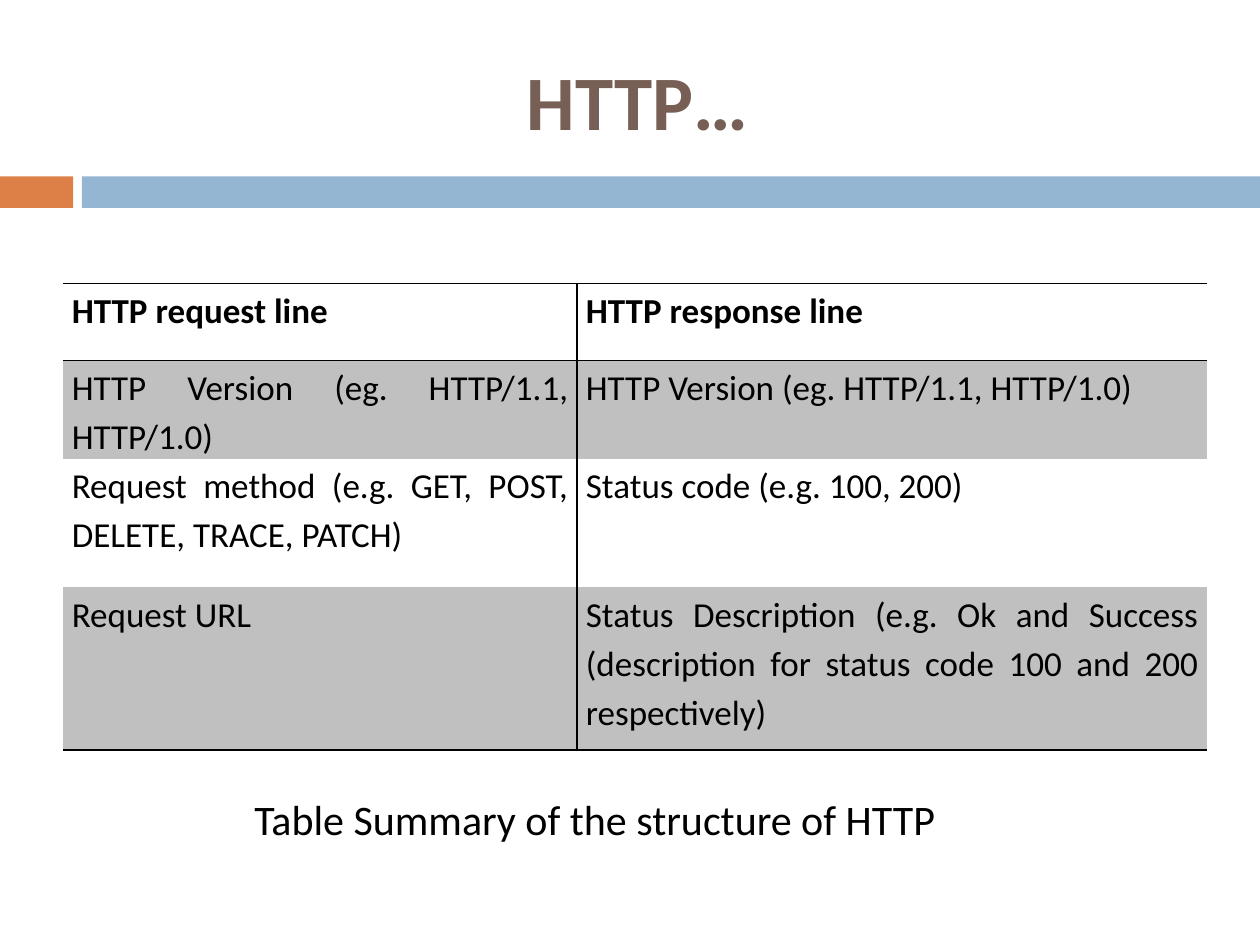
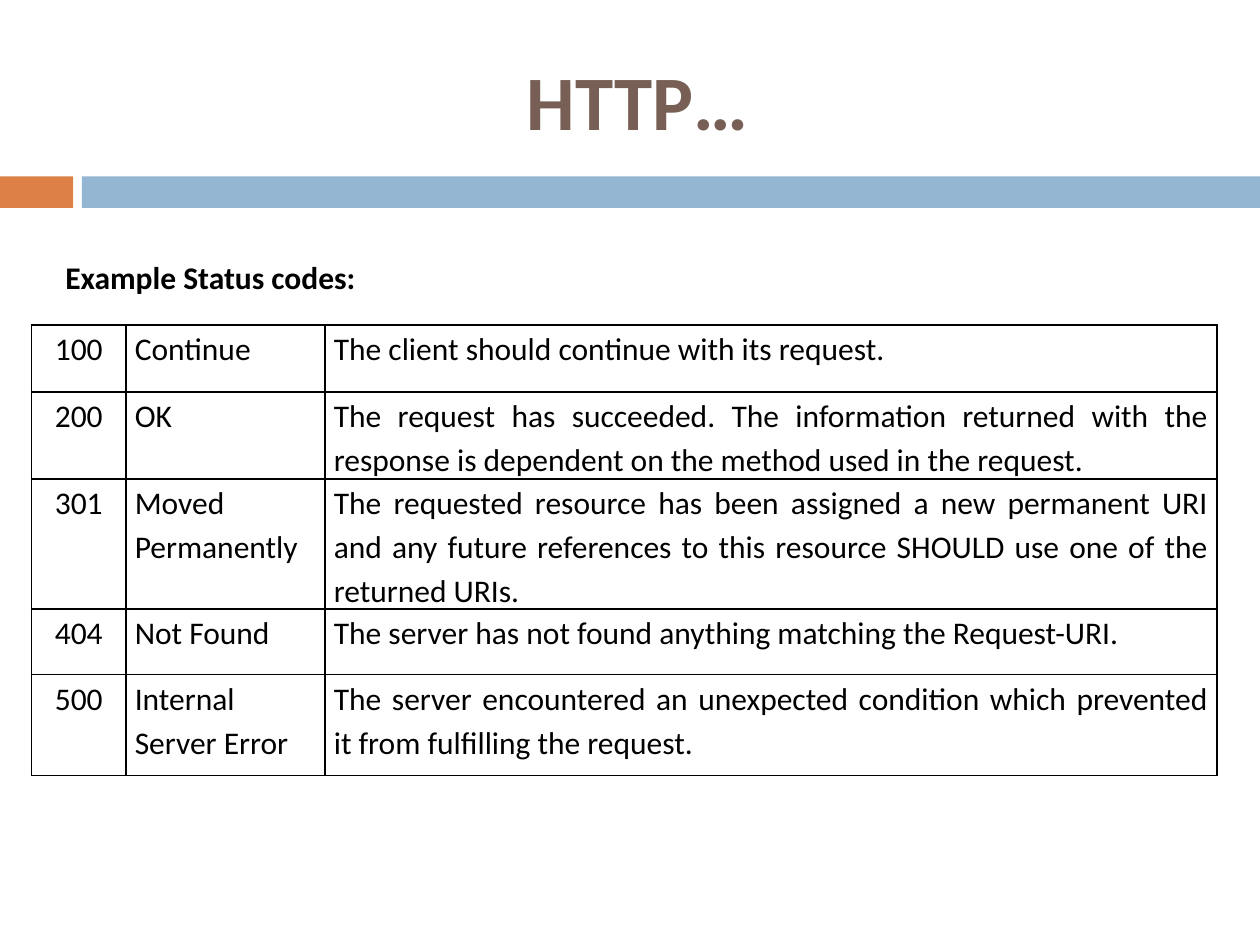
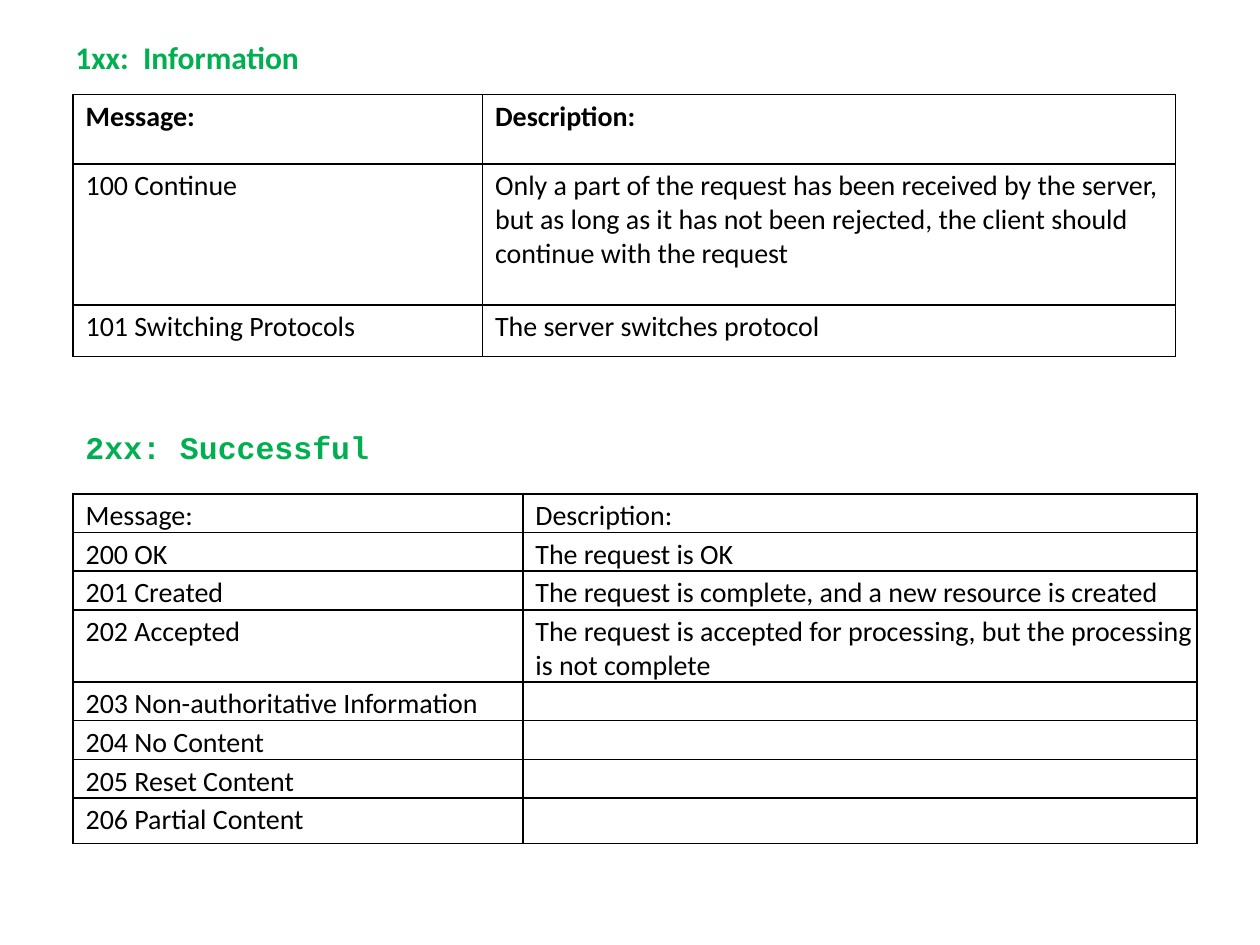
from dataclasses import dataclass
from typing import Optional

from lxml.etree import SubElement
from pptx import Presentation
from pptx.dml.color import RGBColor as RGB
from pptx.enum.shapes import MSO_SHAPE as SHAPE
from pptx.enum.text import MSO_ANCHOR as ANCHOR, MSO_AUTO_SIZE as AUTO, PP_ALIGN as ALIGN
from pptx.oxml.ns import qn
from pptx.util import Inches, Pt


# Theme: colours, fonts and type sizes
@dataclass(frozen=True)
class Theme:
    title: str = "775F55"
    accent: str = "DD8047"
    band: str = "94B6D2"
    ink: str = "000000"
    heading: str = "00B050"
    stripe: str = "C0C0C0"
    paper: str = "FFFFFF"
    font: str = "Calibri"
    mono: str = "Courier New"
    title_pt: int = 44
    caption_pt: int = 24
    summary_pt: int = 20
    body_pt: int = 18
    small_pt: int = 16


T = Theme()
PLAIN_TABLE = "{2D5ABB26-0587-4C30-8999-92F81FD0307C}"  # no style, no grid


@dataclass(frozen=True)
class Style:
    size: int
    color: str = T.ink
    bold: bool = False
    font: str = T.font


@dataclass(frozen=True)
class Label:
    text: str
    box: tuple[float, float, float, float]
    style: Style
    align: ALIGN = ALIGN.LEFT
    anchor: ANCHOR = ANCHOR.TOP
    wrap: bool = True
    auto: AUTO = AUTO.SHAPE_TO_FIT_TEXT


@dataclass(frozen=True)
class CellFormat:
    size: int
    side: float = 0.0
    top: float = 0.0
    indent: float = 0.0
    spacing: Optional[float] = None
    aligns: tuple[ALIGN, ...] = (ALIGN.LEFT, ALIGN.LEFT)


@dataclass(frozen=True)
class Grid:
    left: float
    top: float
    cols: tuple[float, ...]
    heights: tuple[float, ...]
    rows: tuple[tuple[str, ...], ...]
    fmt: CellFormat
    bold_header: bool = False
    striped: bool = False  # grey even rows, open sides
    fill: Optional[str] = None


def add_text(p, text: str, style: Style) -> None:
    r = p.add_run()
    r.text = text
    values = {"name": style.font, "size": Pt(style.size), "bold": style.bold}
    for name, value in values.items():
        setattr(r.font, name, value)
    r.font.color.rgb = RGB.from_string(style.color)


def add_label(s, label: Label) -> None:
    tf = s.shapes.add_textbox(*map(Inches, label.box)).text_frame
    values = {"word_wrap": label.wrap, "auto_size": label.auto,
              "vertical_anchor": label.anchor}
    for name, value in values.items():
        setattr(tf, name, value)
    p = tf.paragraphs[0]
    p.alignment = label.align
    add_text(p, label.text, label.style)


def add_title(s, text: str) -> None:
    # Two-part band under the title
    for left, width, color in ((0, 0.58, T.accent), (0.65, 9.35, T.band)):
        sp = s.shapes.add_shape(SHAPE.RECTANGLE, Inches(left), Inches(1.4),
                                Inches(width), Inches(0.25))
        sp.shadow.inherit = False
        sp.fill.solid()
        sp.fill.fore_color.rgb = RGB.from_string(color)
        sp.line.fill.background()
    add_label(s, Label(text, (0.67, 0.25, 8.92, 1.08),
                       Style(T.title_pt, T.title, True),
                       ALIGN.CENTER, ANCHOR.MIDDLE, auto=AUTO.NONE))


def border_sides(grid: Grid, row: int, col: int) -> str:
    if not grid.striped:
        return "LRTB"
    last_row, last_col = len(grid.rows) - 1, len(grid.cols) - 1
    shown = {"L": col > 0, "R": col < last_col,
             "T": row <= 1, "B": row in (0, last_row)}
    return "".join(side for side, on in shown.items() if on)


def set_borders(cell, sides: str) -> None:
    tc_pr = cell._tc.get_or_add_tcPr()
    for side in "LRTB":
        ln = SubElement(tc_pr, qn(f"a:ln{side}"), w=str(Pt(1)))
        if side in sides:
            fill = SubElement(ln, qn("a:solidFill"))
            SubElement(fill, qn("a:srgbClr"), val=T.ink)
        else:
            SubElement(ln, qn("a:noFill"))


def fill_cell(cell, text: str, grid: Grid, row: int, col: int) -> None:
    fmt = grid.fmt
    margins = {"margin_left": fmt.side, "margin_right": fmt.side,
               "margin_top": fmt.top, "margin_bottom": 0}
    for name, value in margins.items():
        setattr(cell, name, Inches(value))
    set_borders(cell, border_sides(grid, row, col))
    color = T.stripe if grid.striped and row % 2 else grid.fill
    if color:
        cell.fill.solid()
        cell.fill.fore_color.rgb = RGB.from_string(color)
    else:
        cell.fill.background()
    p = cell.text_frame.paragraphs[0]
    p.alignment = fmt.aligns[col]
    p.line_spacing = fmt.spacing
    p._p.get_or_add_pPr().set("marL", str(Inches(fmt.indent)))
    if text:
        add_text(p, text, Style(fmt.size, bold=grid.bold_header and row == 0))
    else:  # keeps an empty row as low as its neighbours
        SubElement(p._p, qn("a:endParaRPr"), sz=str(fmt.size * 100))


def add_grid(s, grid: Grid) -> None:
    frame = s.shapes.add_table(len(grid.rows), len(grid.cols),
                               Inches(grid.left), Inches(grid.top),
                               Inches(sum(grid.cols)), Inches(sum(grid.heights)))
    table = frame.table
    table.first_row = table.horz_banding = False
    table._tbl.tblPr.find(qn("a:tableStyleId")).text = PLAIN_TABLE
    for column, width in zip(table.columns, grid.cols):
        column.width = Inches(width)
    for i, (texts, height) in enumerate(zip(grid.rows, grid.heights)):
        table.rows[i].height = Inches(height)
        for j, text in enumerate(texts):
            fill_cell(table.cell(i, j), text, grid, i, j)


prs = Presentation()
prs.slide_width, prs.slide_height = Inches(10), Inches(7.5)
blank = prs.slide_layouts[6]
TITLE = "HTTP… "
HEADING = Style(T.body_pt, T.heading, True)
MESSAGE_CELL = CellFormat(T.small_pt, top=0.04, indent=0.1)

# Slide 1: request and response lines
s = prs.slides.add_slide(blank)
add_title(s, TITLE)
add_grid(s, Grid(
    0.5, 2.25, (4.08, 5), (0.61, 0.74, 1.02, 1.29),
    (("HTTP request line", "HTTP response line"),
     ("HTTP Version (eg. HTTP/1.1, HTTP/1.0)",) * 2,
     ("Request method (e.g. GET, POST, DELETE, TRACE, PATCH)",
      "Status code (e.g. 100, 200)"),
     ("Request URL",
      "Status Description (e.g. Ok and Success (description for status code "
      "100 and 200 respectively)")),
    CellFormat(T.summary_pt, side=0.07, spacing=1.15, aligns=(ALIGN.JUSTIFY,) * 2),
    bold_header=True, striped=True))
add_label(s, Label("Table Summary of the structure of HTTP", (1.92, 6.25, 6.17, 0.5),
                   Style(T.caption_pt), anchor=ANCHOR.MIDDLE))

# Slide 2: example status codes
s = prs.slides.add_slide(blank)
add_title(s, TITLE)
add_grid(s, Grid(
    0.25, 2.58, (0.75, 1.58, 7.08), (0.53, 0.67, 0.67, 0.52, 0.8),
    (("100", "Continue", "The client should continue with its request."),
     ("200", "OK",
      "The request has succeeded. The information returned with the response "
      "is dependent on the method used in the request."),
     ("301", "Moved Permanently",
      "The requested resource has been assigned a new permanent URI and any "
      "future references to this resource SHOULD use one of the returned URIs."),
     ("404", "Not Found",
      "The server has not found anything matching the Request-URI."),
     ("500", "Internal Server Error",
      "The server encountered an unexpected condition which prevented it from "
      "fulfilling the request.")),
    CellFormat(T.body_pt, side=0.07, spacing=1.15,
               aligns=(ALIGN.CENTER, ALIGN.JUSTIFY, ALIGN.JUSTIFY))))
add_label(s, Label("Example Status codes:", (0.42, 2, 2.53, 0.4),
                   Style(T.body_pt, bold=True), wrap=False))

# Slide 3: message lists for 1xx and 2xx
s = prs.slides.add_slide(blank)
header = ("Message:", "Description:")
add_grid(s, Grid(
    0.58, 0.75, (3.25, 5.5), (0.55, 1.12, 0.41),
    (header,
     ("100 Continue",
      "Only a part of the request has been received by the server, but as long "
      "as it has not been rejected, the client should continue with the request"),
     ("101 Switching Protocols", "The server switches protocol")),
    MESSAGE_CELL, bold_header=True, fill=T.paper))
add_label(s, Label("1xx:  Information", (0.5, 0.25, 2.03, 0.4), HEADING, wrap=False))
add_label(s, Label("2xx: Successful", (0.58, 3.35, 6.08, 0.4),
                   Style(T.body_pt, T.heading, True, T.mono), anchor=ANCHOR.MIDDLE))
add_grid(s, Grid(
    0.58, 3.92, (3.57, 5.35), (0.3,) * 3 + (0.57,) + (0.3,) * 3 + (0.36,),
    (header,
     ("200 OK", "The request is OK"),
     ("201 Created", "The request is complete, and a new resource is created"),
     ("202 Accepted",
      "The request is accepted for processing, but the processing is not complete"),
     ("203 Non-authoritative Information", ""),
     ("204 No Content", ""),
     ("205 Reset Content", ""),
     ("206 Partial Content", "")),
    MESSAGE_CELL, fill=T.paper))

prs.save("out.pptx")
